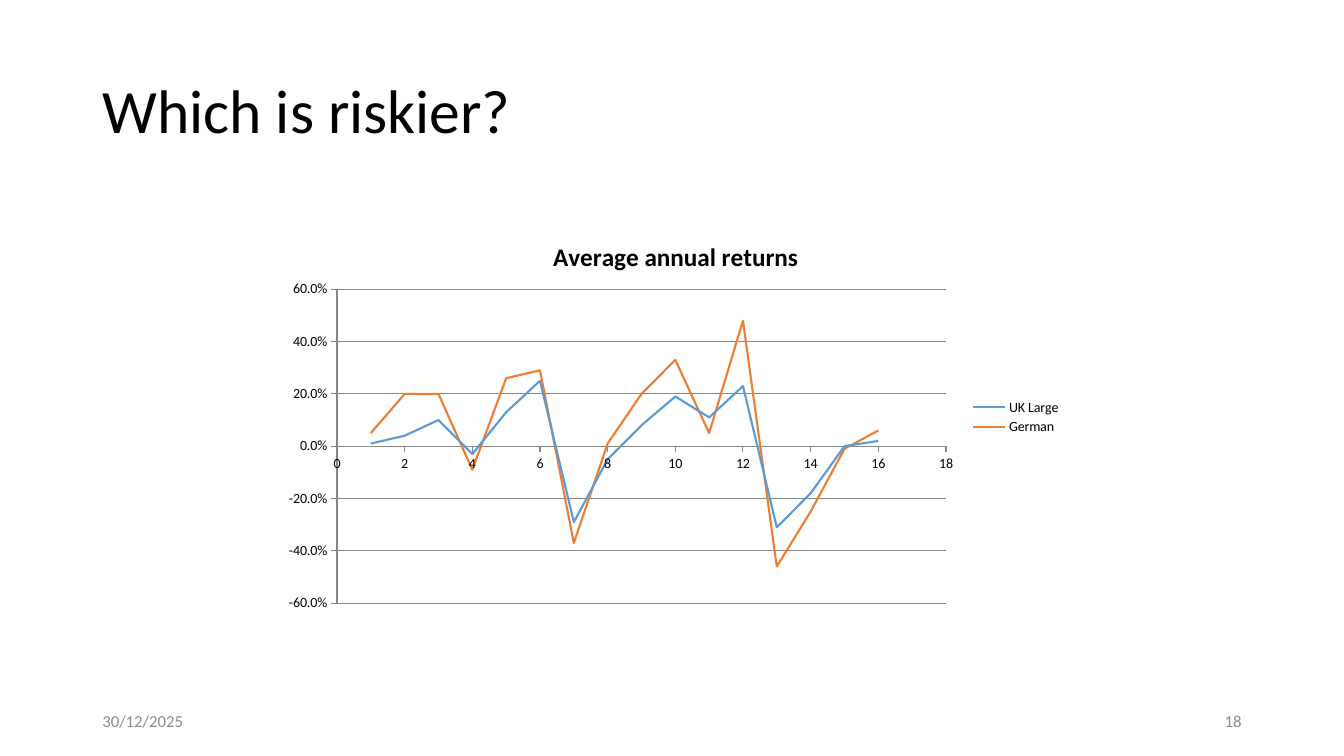
from dataclasses import dataclass

import pptx
import pptx.chart.data
import pptx.dml.color
import pptx.enum.chart
import pptx.enum.text
import pptx.oxml
import pptx.oxml.ns
import pptx.util

Pt = pptx.util.Pt
RGB = pptx.dml.color.RGBColor
Align = pptx.enum.text.PP_ALIGN


@dataclass(frozen=True)
class Theme:
    font: str = "Calibri"
    ink: str = "000000"
    muted: str = "8C8C8C"
    grid: str = "868686"
    title_size: float = 44
    footer_size: float = 12
    chart_title_size: float = 18
    chart_size: float = 10
    series_width: float = 1.5
    grid_width: float = 0.75


@dataclass(frozen=True)
class Footer:
    text: str
    left: float
    align: Align


@dataclass(frozen=True)
class Market:
    name: str
    color: str
    returns: tuple[float, ...]


THEME = Theme()
FOOTERS = (
    Footer("30/12/2025", 66, Align.LEFT),
    Footer("18", 678, Align.RIGHT),
)
MARKETS = (
    Market("UK Large", "5B9BD5",
           (0.01, 0.04, 0.1, -0.03, 0.13, 0.25, -0.29, -0.05,
            0.08, 0.19, 0.11, 0.23, -0.31, -0.18, 0, 0.02)),
    Market("German", "ED7D31",
           (0.05, 0.2, 0.2, -0.09, 0.26, 0.29, -0.37, 0.01,
            0.2, 0.33, 0.05, 0.48, -0.46, -0.25, -0.01, 0.06)),
)


def style_font(font, size: float, color: str, bold: bool = False) -> None:
    font.name = THEME.font
    font.size = Pt(size)
    font.bold = bold
    font.color.rgb = RGB.from_string(color)


def style_line(line, color: str, width: float) -> None:
    line.color.rgb = RGB.from_string(color)
    line.width = Pt(width)


def add_title(s, text: str) -> None:
    sp = s.shapes.title
    sp.left, sp.top, sp.width, sp.height = Pt(66), Pt(28.8), Pt(828), Pt(104.4)
    tf = sp.text_frame
    tf.text = text
    tf.vertical_anchor = pptx.enum.text.MSO_ANCHOR.MIDDLE
    p = tf.paragraphs[0]
    p.alignment = Align.LEFT
    p.line_spacing = 0.9
    style_font(p.font, THEME.title_size, THEME.ink)


def add_footer(s, footer: Footer) -> None:
    sp = s.shapes.add_textbox(Pt(footer.left), Pt(500.4), Pt(216), Pt(28.8))
    tf = sp.text_frame
    tf.word_wrap = True
    tf.vertical_anchor = pptx.enum.text.MSO_ANCHOR.MIDDLE
    p = tf.paragraphs[0]
    p.text = footer.text
    p.alignment = footer.align
    style_font(p.font, THEME.footer_size, THEME.muted)


def set_layout(parent, after: str, **values: str | float) -> None:
    """Give a chart part a manual layout, placed after its named child if present."""
    ns = pptx.oxml.ns
    for old in parent.findall(ns.qn("c:layout")):
        parent.remove(old)
    parts = "".join(f'<c:{tag} val="{value}"/>' for tag, value in values.items())
    layout = pptx.oxml.parse_xml(
        f'<c:layout {ns.nsdecls("c")}><c:manualLayout>{parts}'
        "</c:manualLayout></c:layout>")
    previous = parent.find(ns.qn(after))
    parent.insert(0 if previous is None else parent.index(previous) + 1, layout)


def style_axis(axis, low: float, high: float, step: float, number_format: str) -> None:
    axis.minimum_scale, axis.maximum_scale, axis.major_unit = low, high, step
    axis.major_tick_mark = pptx.enum.chart.XL_TICK_MARK.OUTSIDE
    axis.minor_tick_mark = pptx.enum.chart.XL_TICK_MARK.NONE
    axis.tick_labels.number_format = number_format
    axis.tick_labels.number_format_is_linked = False
    style_font(axis.tick_labels.font, THEME.chart_size, THEME.ink)
    style_line(axis.format.line, THEME.grid, THEME.grid_width)


def add_returns_chart(s, title: str) -> None:
    data = pptx.chart.data.XyChartData()
    for market in MARKETS:
        points = data.add_series(market.name)
        for year, value in enumerate(market.returns, start=1):
            points.add_data_point(year, value)
    chart = s.shapes.add_chart(
        pptx.enum.chart.XL_CHART_TYPE.XY_SCATTER_SMOOTH_NO_MARKERS,
        Pt(195.1), Pt(153.4), Pt(570.2), Pt(289.4), data).chart
    style_font(chart.font, THEME.chart_size, THEME.ink)

    chart.has_title = True
    p = chart.chart_title.text_frame.paragraphs[0]
    p.text = title
    style_font(p.font, THEME.chart_title_size, THEME.ink, bold=True)
    chart.has_legend = True
    chart.legend.position = pptx.enum.chart.XL_LEGEND_POSITION.RIGHT
    chart.legend.include_in_layout = False

    style_axis(chart.category_axis, 0, 18, 2, "General")
    chart.category_axis.has_major_gridlines = False
    style_axis(chart.value_axis, -0.6, 0.6, 0.2, "0.0%")
    chart.value_axis.has_major_gridlines = True
    style_line(chart.value_axis.major_gridlines.format.line,
               THEME.grid, THEME.grid_width)

    for series, market in zip(chart.plots[0].series, MARKETS):
        series.smooth = True
        series.marker.style = pptx.enum.chart.XL_MARKER_STYLE.NONE
        style_line(series.format.line, market.color, THEME.series_width)
    chart.plots[0].vary_by_categories = False

    set_layout(chart.chart_title._element, "c:tx",
               xMode="edge", yMode="edge", x=0.345, y=0.05)
    plot_area = chart._chartSpace.find(".//" + pptx.oxml.ns.qn("c:plotArea"))
    set_layout(plot_area, "c:layout", layoutTarget="inner",
               xMode="edge", yMode="edge", x=0.08, y=0.184, w=0.763, h=0.775)


def main() -> None:
    prs = pptx.Presentation()
    prs.slide_width, prs.slide_height = Pt(960), Pt(540)
    s = prs.slides.add_slide(prs.slide_layouts.get_by_name("Title Only"))
    add_title(s, "Which is riskier?")
    add_returns_chart(s, "Average annual returns")
    for footer in FOOTERS:
        add_footer(s, footer)
    prs.save("out.pptx")


if __name__ == "__main__":
    main()
